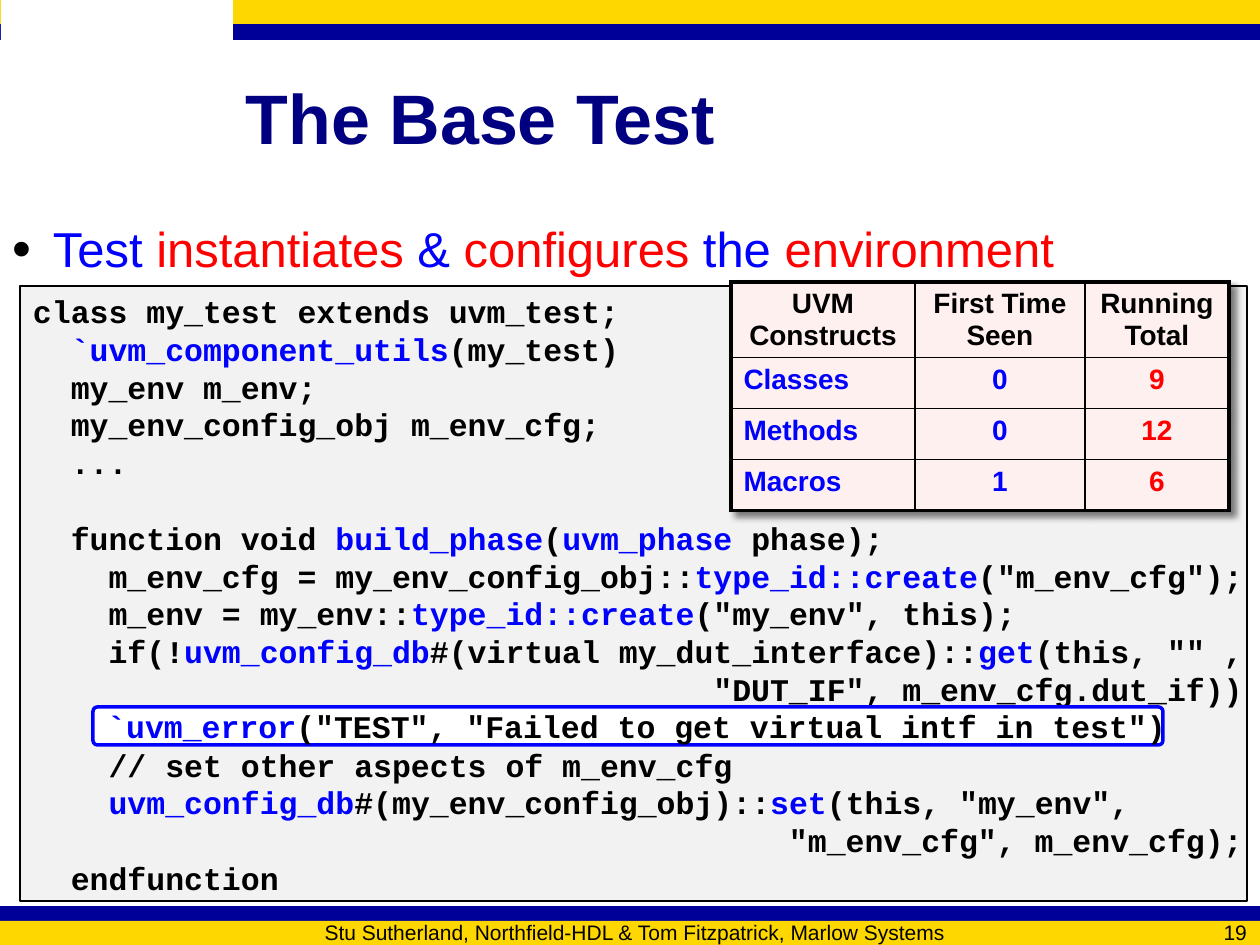
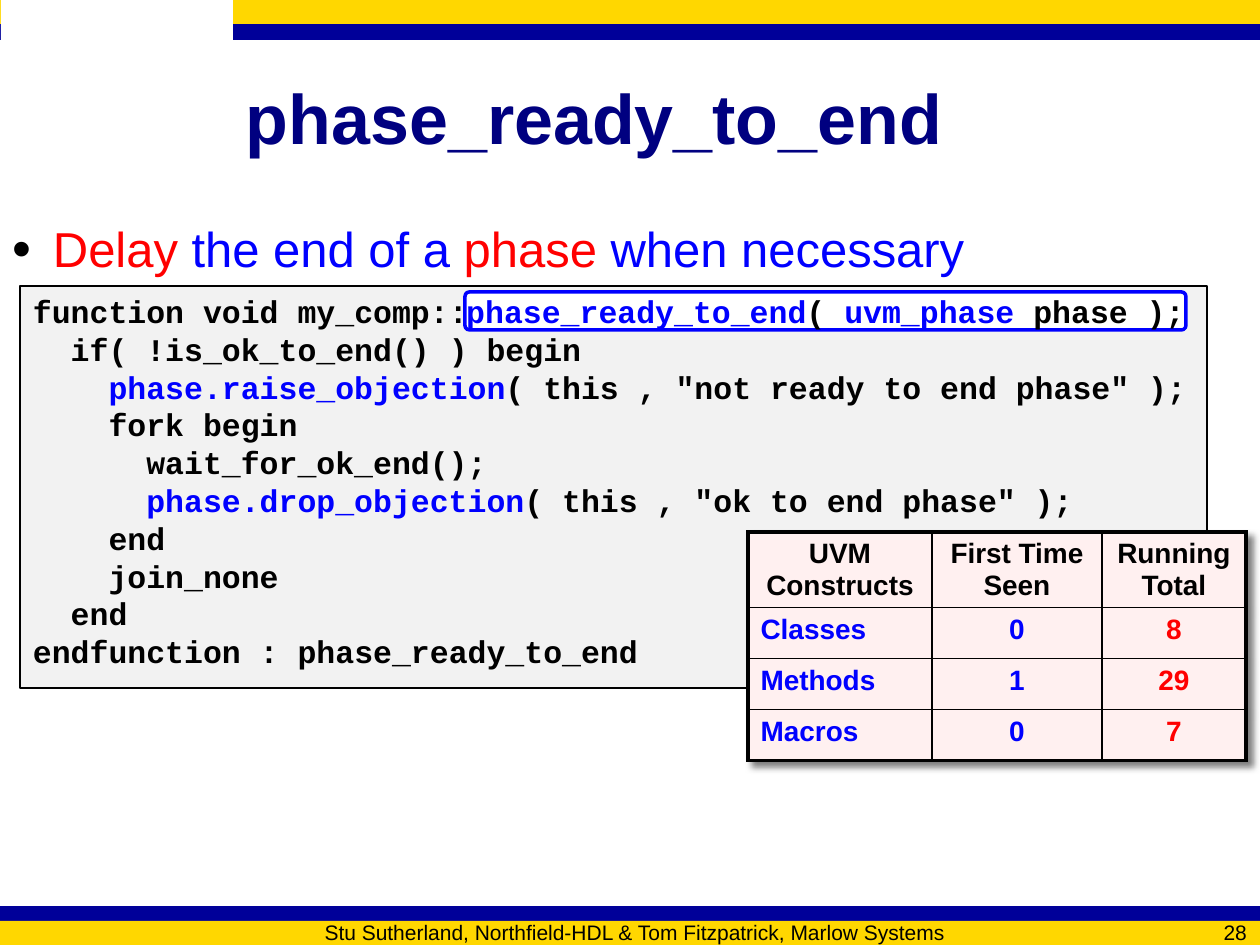
from lxml import etree
from pptx import Presentation
from pptx.dml.color import RGBColor
from pptx.enum.shapes import MSO_SHAPE
from pptx.enum.text import MSO_ANCHOR, MSO_AUTO_SIZE, PP_ALIGN
from pptx.oxml import parse_xml
from pptx.oxml.ns import nsdecls, qn
from pptx.util import Emu, Pt

RECTANGLE, ROUNDED = MSO_SHAPE.RECTANGLE, MSO_SHAPE.ROUNDED_RECTANGLE
TOP, MIDDLE = MSO_ANCHOR.TOP, MSO_ANCHOR.MIDDLE
LEFT, CENTER, RIGHT = PP_ALIGN.LEFT, PP_ALIGN.CENTER, PP_ALIGN.RIGHT
NO_FIT = MSO_AUTO_SIZE.NONE

PX_PER_INCH = 126
WIDTH, HEIGHT = 1260, 945
TITLE_ONLY = 5

BLACK, WHITE, BLUE, RED = "000000", "FFFFFF", "0000FF", "FF0000"
GOLD, BAND_BLUE, TITLE_BLUE = "FFD700", "000099", "000080"
CODE_GRAY, TABLE_PINK = "F2F2F2", "FFF0F0"

TITLE = {"name": "Arial", "size": Pt(40), "bold": True}
HEADLINE = {"name": "Arial", "size": Pt(28), "bold": False}
FOOTER = {"name": "Arial", "size": Pt(12), "bold": False}
CODE = {"name": "Courier New", "size": Pt(18), "bold": True}
CELL = {"name": "Arial", "size": Pt(16), "bold": True}

CODE_COLUMN = Pt(10.8)
CODE_LINE = Pt(21.6)
CELL_LINE = Pt(18)
THIN, THICK = Pt(1), Pt(2.25)

CREDIT = "Stu Sutherland, Northfield-HDL & Tom Fitzpatrick, Marlow Systems"
TABLE_HEADER = ["UVM Constructs", "First Time Seen", "Running Total"]
TABLE_COLUMNS = [184, 170, 144]
TABLE_ROWS = [75, 51, 51, 51]

SLIDES = [
    {
        "title": "The Base Test",
        "page": "19",
        "headline": "Test |instantiates| & |configures |the |environment",
        "code_box": (20, 286, 1227, 615),
        "code": """class my_test extends uvm_test;
  |`uvm_component_utils|(my_test)
  my_env m_env;
  my_env_config_obj m_env_cfg;
  ...

  function void |build_phase|(|uvm_phase| phase);
    m_env_cfg = my_env_config_obj::|type_id::create|("m_env_cfg");
    m_env = my_env::|type_id::create|("my_env", this);
    if(!|uvm_config_db|#(virtual my_dut_interface)::|get|(this, "" ,
                                    "DUT_IF", m_env_cfg.dut_if))

    // set other aspects of m_env_cfg
    |uvm_config_db|#(my_env_config_obj)::|set|(this, "my_env",
                                        "m_env_cfg", m_env_cfg);
  endfunction""",
        "table_at": (731, 282),
        "counts": [("Classes", "0", "9"), ("Methods", "0", "12"), ("Macros", "1", "6")],
        "highlight_box": (93, 707, 1070, 38),
        "highlight_inset": 13,
        "highlight": '|`uvm_error|("TEST", "Failed to get virtual intf in test")',
    },
    {
        "title": "phase_ready_to_end",
        "page": "28",
        "headline": "|Delay| the end of a |phase| when necessary",
        "code_box": (20, 286, 1187, 402),
        "code": """function void my_comp::
  if( !is_ok_to_end() ) begin
    |phase.raise_objection|( this , "not ready to end phase" );
    fork begin
      wait_for_ok_end();
      |phase.drop_objection|( this , "ok to end phase" );
    end
    join_none
  end
endfunction : phase_ready_to_end""",
        "table_at": (748, 532),
        "counts": [("Classes", "0", "8"), ("Methods", "1", "29"), ("Macros", "0", "7")],
        "highlight_box": (465, 292, 721, 38),
        "highlight_inset": 0,
        "highlight": "|phase_ready_to_end|( |uvm_phase| phase );",
    },
]


def px(length):
    """Turn a length in px into EMU."""
    return Emu(round(length * 914400 / PX_PER_INCH))


def color(value):
    """Turn a hex string into a colour."""
    return RGBColor.from_string(value)


def set_values(target, values):
    """Set each named attribute of the target."""
    for name, value in values.items():
        setattr(target, name, value)


def write_spans(para, text, style, base, accent=BLACK):
    """Write text whose parts between bars take the accent colour."""
    for index, part in enumerate(text.split("|")):
        if part:
            span = para.add_run()
            span.text = part
            set_values(span.font, style)
            span.font.color.rgb = color(accent if index % 2 else base)


def set_frame(frame, anchor, wrap=True, left=13, right=13):
    """Set anchor, wrapping and insets of a text frame."""
    set_values(frame, {
        "vertical_anchor": anchor, "word_wrap": wrap, "auto_size": NO_FIT,
        "margin_left": px(left), "margin_right": px(right),
        "margin_top": px(6), "margin_bottom": px(6),
    })


def add_block(page, kind, bounds, fill, line=None, line_width=THIN):
    """Add a flat filled shape, outlined if a line colour is given."""
    block = page.shapes.add_shape(kind, *map(px, bounds))
    block.shadow.inherit = False
    block.fill.solid()
    block.fill.fore_color.rgb = color(fill)
    if line:
        block.line.color.rgb = color(line)
        block.line.width = line_width
    else:
        block.line.fill.background()
    return block


def add_text(page, bounds, anchor, align):
    """Add a text box and return its first paragraph."""
    box = page.shapes.add_textbox(*map(px, bounds))
    set_frame(box.text_frame, anchor)
    para = box.text_frame.paragraphs[0]
    para.alignment = align
    return para


def add_frame_parts(page, number):
    """Add the bands and footer that every slide carries."""
    for top, height, fill in [(0, 24, GOLD), (24, 16, BAND_BLUE),
                              (906, 16, BAND_BLUE), (921, 24, GOLD)]:
        add_block(page, RECTANGLE, (0, top, WIDTH, height), fill)
    add_block(page, RECTANGLE, (1, 0, 232, 136), WHITE)
    for left, width, align, text in [(157, 956, CENTER, CREDIT),
                                     (1134, 126, RIGHT, number)]:
        para = add_text(page, (left, 921, width, 22), MIDDLE, align)
        write_spans(para, text, FOOTER, BLACK)


def set_title(page, text):
    """Place and format the title placeholder."""
    title = page.shapes.title
    bounds = map(px, (233, 38, 1008, 158))
    set_values(title, dict(zip(("left", "top", "width", "height"), bounds)))
    set_frame(title.text_frame, MIDDLE)
    para = title.text_frame.paragraphs[0]
    para.alignment = LEFT
    write_spans(para, text, TITLE, TITLE_BLUE)


def add_headline(page, text):
    """Add the bulleted line above the code."""
    para = add_text(page, (0, 213, WIDTH, 73), TOP, LEFT)
    write_spans(para, text, HEADLINE, BLUE, RED)
    properties = para._p.get_or_add_pPr()
    properties.set("marL", str(px(40)))
    properties.set("indent", str(-px(40)))
    bullet_color = etree.SubElement(properties, qn("a:buClr"))
    etree.SubElement(bullet_color, qn("a:srgbClr"), val=BLACK)
    etree.SubElement(properties, qn("a:buSzPct"), val="110000")
    etree.SubElement(properties, qn("a:buFont"), typeface="Arial")
    etree.SubElement(properties, qn("a:buChar"), char="•")


def add_code(page, bounds, code):
    """Add the code panel, indenting lines by whole character columns."""
    panel = add_block(page, RECTANGLE, bounds, CODE_GRAY, BLACK)
    frame = panel.text_frame
    set_frame(frame, TOP, right=0)
    para, gap = frame.paragraphs[0], 0
    for index, line in enumerate(code.split("\n")):
        text = line.lstrip()
        if not text:
            gap = CODE_LINE
            continue
        if index:
            para = frame.add_paragraph()
        set_values(para, {"alignment": LEFT, "line_spacing": CODE_LINE,
                          "space_before": Emu(gap)})
        columns = len(line) - len(text)
        para._p.get_or_add_pPr().set("marL", str(columns * CODE_COLUMN))
        write_spans(para, text, CODE, BLACK, BLUE)
        gap = 0


def add_highlight(page, bounds, text, inset):
    """Add the outlined code line."""
    box = add_block(page, ROUNDED, bounds, WHITE, BLUE, Pt(2))
    box.adjustments[0] = 0.12
    set_frame(box.text_frame, MIDDLE, wrap=False, left=inset)
    para = box.text_frame.paragraphs[0]
    para.alignment = LEFT
    write_spans(para, text, CODE, BLACK, BLUE)


def set_borders(cell, widths):
    """Draw the left, right, top and bottom borders of a cell."""
    properties = cell._tc.get_or_add_tcPr()
    for index, (side, width) in enumerate(zip("LRTB", widths)):
        border = parse_xml(
            f'<a:ln{side} {nsdecls("a")} w="{width}"><a:solidFill>'
            f'<a:srgbClr val="{BLACK}"/></a:solidFill></a:ln{side}>')
        properties.insert(index, border)


def add_table_shadow(table):
    """Give the table a soft shadow to the lower right."""
    table._tbl.tblPr.insert(0, parse_xml(
        f'<a:effectLst {nsdecls("a")}>'
        '<a:outerShdw blurRad="50800" dist="50800" dir="2700000">'
        f'<a:srgbClr val="{BLACK}"><a:alpha val="50000"/></a:srgbClr>'
        '</a:outerShdw></a:effectLst>'))


def add_counts(page, corner, counts):
    """Add the table that counts UVM constructs."""
    rows = [TABLE_HEADER, *counts]
    size = (sum(TABLE_COLUMNS), sum(TABLE_ROWS))
    table = page.shapes.add_table(
        len(rows), len(TABLE_COLUMNS), *map(px, corner + size)).table
    set_values(table, {"first_row": False, "horz_banding": False})
    add_table_shadow(table)
    for column, width in zip(table.columns, TABLE_COLUMNS):
        column.width = px(width)
    last_row, last_column = len(rows) - 1, len(TABLE_COLUMNS) - 1
    for r, values in enumerate(rows):
        table.rows[r].height = px(TABLE_ROWS[r])
        for c, value in enumerate(values):
            cell = table.cell(r, c)
            cell.fill.solid()
            cell.fill.fore_color.rgb = color(TABLE_PINK)
            outer = (c == 0, c == last_column, r == 0, r == last_row)
            set_borders(cell, [THICK if edge else THIN for edge in outer])
            para = cell.text_frame.paragraphs[0]
            set_values(para, {"alignment": LEFT if r and c == 0 else CENTER,
                              "line_spacing": CELL_LINE})
            body_color = RED if c == last_column else BLUE
            write_spans(para, value, CELL, body_color if r else BLACK)


def add_slide(deck, content):
    """Build one slide from its content."""
    page = deck.slides.add_slide(deck.slide_layouts[TITLE_ONLY])
    add_frame_parts(page, content["page"])
    set_title(page, content["title"])
    add_headline(page, content["headline"])
    add_code(page, content["code_box"], content["code"])
    add_counts(page, content["table_at"], content["counts"])
    add_highlight(page, content["highlight_box"], content["highlight"],
                  content["highlight_inset"])


def main():
    """Build and save the deck."""
    deck = Presentation()
    set_values(deck, {"slide_width": px(WIDTH), "slide_height": px(HEIGHT)})
    for content in SLIDES:
        add_slide(deck, content)
    deck.save("out.pptx")


if __name__ == "__main__":
    main()
